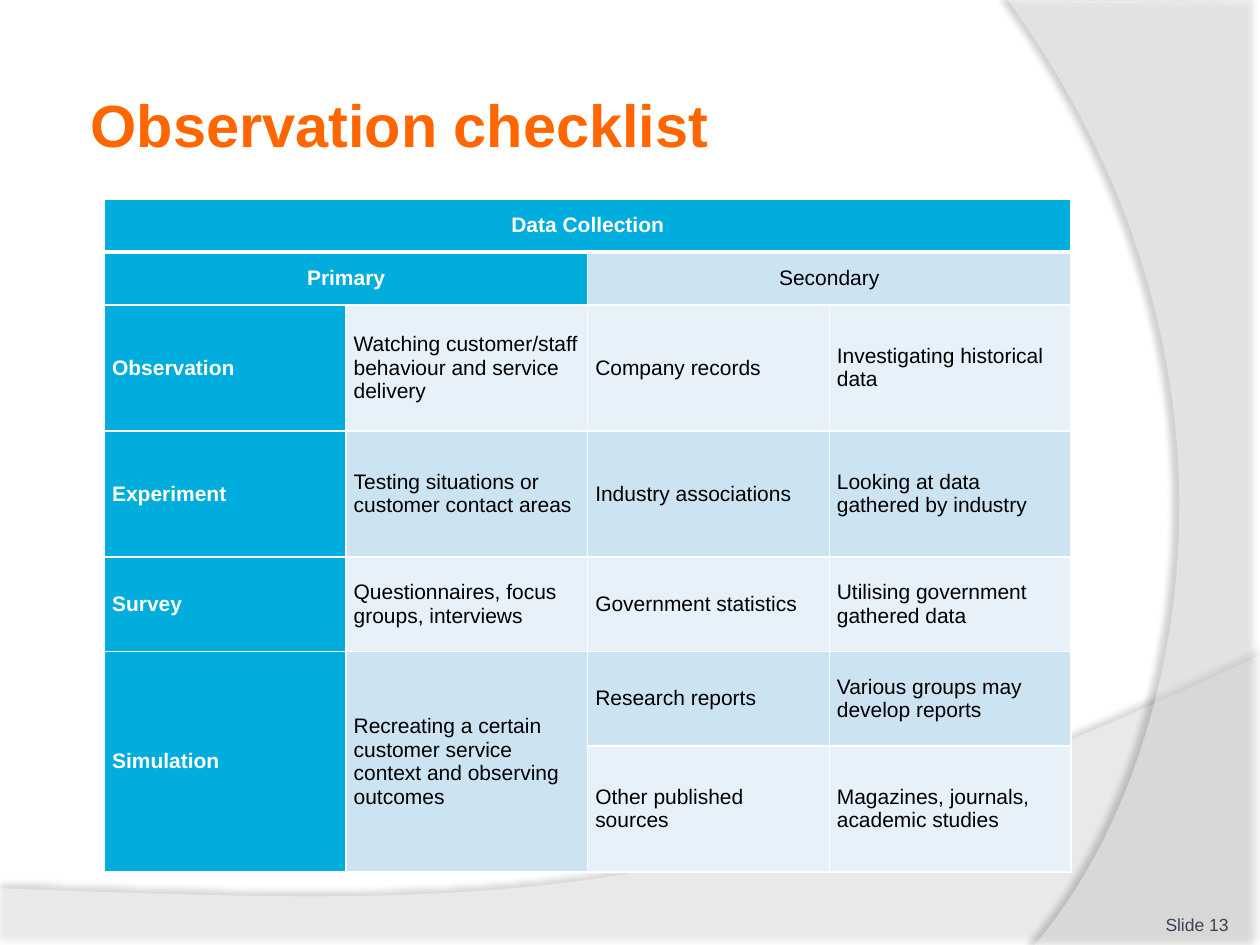
from lxml import etree
from pptx import Presentation
from pptx.dml.color import RGBColor
from pptx.enum.text import MSO_ANCHOR, PP_ALIGN
from pptx.oxml.ns import qn
from pptx.util import Inches, Pt

LEFT, CENTER, RIGHT = PP_ALIGN.LEFT, PP_ALIGN.CENTER, PP_ALIGN.RIGHT
MIDDLE, BOTTOM = MSO_ANCHOR.MIDDLE, MSO_ANCHOR.BOTTOM
TITLE_ONLY = 5
CURVE_STEPS = 40

COLORS = {
    "white": "FFFFFF", "black": "000000", "orange": "FF6600", "slate": "3A4352",
    "header": "00ADDC", "dark_band": "CCE3F2", "light_band": "E7F1F9",
}

COLUMN_WIDTH = 7.67 / 4
ROW_HEIGHTS = [0.42, 0.42, 1, 1, 0.75, 0.75, 1]
ROWS = [
    ["Data Collection", "", "", ""],
    ["Primary", "", "Secondary", ""],
    ["Observation", "Watching customer/staff behaviour and service delivery",
     "Company records", "Investigating historical data"],
    ["Experiment", "Testing situations or customer contact areas",
     "Industry associations", "Looking at data gathered by industry"],
    ["Survey", "Questionnaires, focus groups, interviews",
     "Government statistics", "Utilising government gathered data"],
    ["Simulation", "Recreating a certain customer service context and observing outcomes",
     "Research reports", "Various groups may develop reports"],
    ["", "", "Other published sources", "Magazines, journals, academic studies"],
]
# Each merge runs from one (row, column) to another.
MERGES = [((0, 0), (0, 3)), ((1, 0), (1, 1)), ((1, 2), (1, 3)),
          ((5, 0), (6, 0)), ((5, 1), (6, 1))]


def rgb(name):
    return RGBColor.from_string(COLORS[name])


def add_child(parent, tag, **attributes):
    child = etree.SubElement(parent, qn(tag))
    for name, value in attributes.items():
        child.set(name, str(value))
    return child


def write_text(text_frame, text, align, color, size, bold=False):
    paragraph = text_frame.paragraphs[0]
    paragraph.text = text
    paragraph.alignment = align
    font = paragraph.runs[0].font
    formats = {"name": "Arial", "size": Pt(size), "bold": bold}
    for attribute, value in formats.items():
        setattr(font, attribute, value)
    font.color.rgb = rgb(color)


def set_frame(text_frame, anchor, margin):
    formats = {"word_wrap": True, "vertical_anchor": anchor}
    for side in ("left", "right", "top", "bottom"):
        formats["margin_" + side] = Inches(margin)
    for attribute, value in formats.items():
        setattr(text_frame, attribute, value)


def bezier(*controls):
    """Return points along a cubic curve, both ends included."""
    points = []
    for step in range(CURVE_STEPS + 1):
        t = step / CURVE_STEPS
        weights = ((1 - t) ** 3, 3 * t * (1 - t) ** 2, 3 * t * t * (1 - t), t ** 3)
        points.append(tuple(sum(weight * control[axis]
                                for weight, control in zip(weights, controls))
                            for axis in (0, 1)))
    return points


def add_backdrop_panel(slide, left, top, points, opacity, shadow):
    """Draw a translucent white panel with a soft shadow behind everything."""
    corners = [(Inches(left + x), Inches(top + y)) for x, y in points]
    builder = slide.shapes.build_freeform(*corners[0], scale=1.0)
    builder.add_line_segments(corners[1:], close=True)
    shape = builder.convert_to_shape()
    shape.fill.solid()
    shape.fill.fore_color.rgb = rgb("white")
    shape.line.fill.background()
    properties = shape._element.spPr
    fill_color = properties.find(qn("a:solidFill"))[0]
    add_child(fill_color, "a:alpha", val=opacity * 1000)

    shadow_opacity, blur, distance, direction = shadow
    effects = add_child(properties, "a:effectLst")
    outer = add_child(effects, "a:outerShdw", blurRad=Pt(blur), dist=Pt(distance),
                      dir=direction * 60000, algn="ctr", rotWithShape=0)
    shadow_color = add_child(outer, "a:srgbClr", val=COLORS["black"])
    add_child(shadow_color, "a:alpha", val=shadow_opacity * 1000)
    return shape


def add_backdrop(slide):
    wave = bezier((10, 0), (5.59, 2.09), (3.91, 1.99), (0, 1.85))
    arc = bezier((0.21, 7.5), (1.35, 6.19), (2.18, 3), (0, 0))
    panels = [
        add_backdrop_panel(slide, 0, 5.2, [(0, 2.3), (10, 2.3)] + wave,
                           45, (35, 4, 3.5, 270)),
        add_backdrop_panel(slide, 8, 0, [(2, 0.02), (2, 7.5)] + arc,
                           40, (45, 4, 4, 180)),
    ]
    tree = slide.shapes._spTree
    for index, panel in enumerate(panels):
        tree.insert(2 + index, panel._element)


def add_title(slide, left, top, width, height):
    title = slide.shapes.title
    title.left, title.top = Inches(left), Inches(top)
    title.width, title.height = Inches(width), Inches(height)
    set_frame(title.text_frame, MIDDLE, 0.05)
    write_text(title.text_frame, "Observation checklist", LEFT, "orange", 34, True)


def set_borders(cell, row):
    widths = {"a:lnL": 1, "a:lnR": 1, "a:lnT": 3 if row == 1 else 1,
              "a:lnB": 3 if row == 0 else 1}
    properties = cell._tc.get_or_add_tcPr()
    for tag, width in widths.items():
        line = add_child(properties, tag, w=Pt(width))
        add_child(add_child(line, "a:solidFill"), "a:srgbClr", val=COLORS["white"])


def format_cell(cell, row, column, text):
    is_header = row == 0 or column == 0 or (row, column) == (1, 1)
    band = "dark_band" if row % 2 else "light_band"
    set_borders(cell, row)
    cell.fill.solid()
    cell.fill.fore_color.rgb = rgb("header" if is_header else band)
    formats = {"vertical_anchor": MIDDLE, "margin_left": Inches(0.06),
               "margin_right": Inches(0.06), "margin_top": 0, "margin_bottom": 0}
    for attribute, value in formats.items():
        setattr(cell, attribute, value)
    if text:
        write_text(cell.text_frame, text, CENTER if row < 2 else LEFT,
                   "white" if is_header else "black", 12, is_header)


def add_checklist(slide, left, top):
    frame = slide.shapes.add_table(
        len(ROWS), len(ROWS[0]), Inches(left), Inches(top),
        Inches(COLUMN_WIDTH * len(ROWS[0])), Inches(sum(ROW_HEIGHTS)))
    table = frame.table
    for column in table.columns:
        column.width = Inches(COLUMN_WIDTH)
    for row, height in zip(table.rows, ROW_HEIGHTS):
        row.height = Inches(height)
    for row, texts in enumerate(ROWS):
        for column, text in enumerate(texts):
            format_cell(table.cell(row, column), row, column, text)
    for first, last in MERGES:
        table.cell(*first).merge(table.cell(*last))


def add_slide_number(slide, left, top, width, height):
    box = slide.shapes.add_textbox(Inches(left), Inches(top), Inches(width), Inches(height))
    set_frame(box.text_frame, BOTTOM, 0)
    write_text(box.text_frame, "Slide 13", RIGHT, "slate", 10)


def main():
    presentation = Presentation()
    presentation.slide_width, presentation.slide_height = Inches(10), Inches(7.5)
    slide = presentation.slides.add_slide(presentation.slide_layouts[TITLE_ONLY])
    add_backdrop(slide)
    add_title(slide, 0.67, 0.36, 8.17, 1.25)
    add_checklist(slide, 0.83, 1.58)
    add_slide_number(slide, 8.92, 7.02, 0.83, 0.4)
    presentation.save("out.pptx")


if __name__ == "__main__":
    main()
